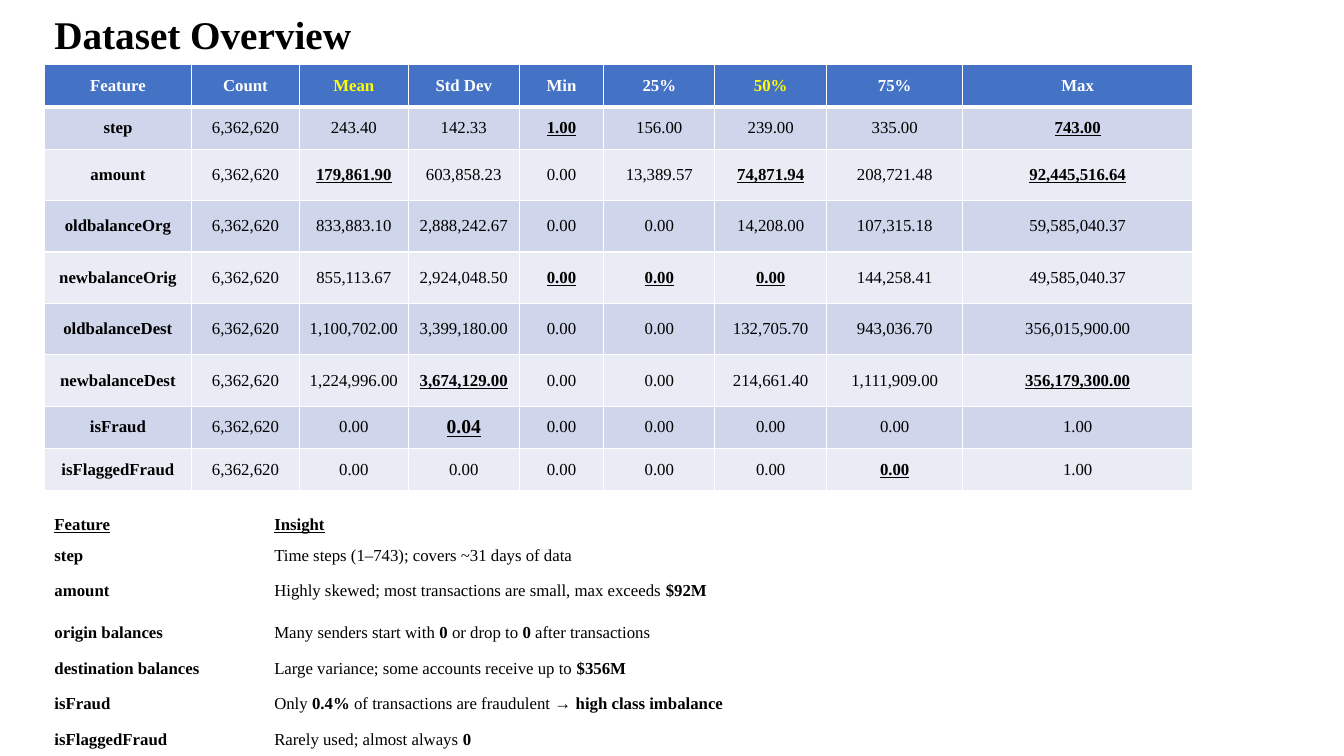
from lxml import etree
from pptx import Presentation
from pptx.dml.color import RGBColor
from pptx.enum.text import MSO_ANCHOR, PP_ALIGN
from pptx.oxml.ns import qn
from pptx.util import Inches, Pt

MIDDLE = MSO_ANCHOR.MIDDLE
LEFT, CENTER = PP_ALIGN.LEFT, PP_ALIGN.CENTER
PLAIN_STYLE = "{2D5ABB26-0587-4C30-8999-92F81FD0307C}"

THEME = {
    "font": "Times New Roman", "title": 28, "body": 12, "large": 14,
    "text": "000000", "header_text": "FFFFFF", "highlight": "FFFF00",
    "header": "4472C4", "bands": ("CFD5EA", "E9EBF5"), "border": "FFFFFF",
}
MARGIN = 0.44


def add_run(p, text, size=THEME["body"], color=THEME["text"], bold=False, underline=False):
    r = p.add_run()
    r.text = text
    r.font.name, r.font.size = THEME["font"], Pt(size)
    r.font.color.rgb = RGBColor.from_string(color)
    r.font.bold, r.font.underline = bold, underline


def add_grid(top, widths, heights):
    """Add an unstyled table with the given column widths and row heights."""
    table = s.shapes.add_table(
        len(heights), len(widths), Inches(MARGIN), Inches(top),
        Inches(sum(widths)), Inches(sum(heights))).table
    table.first_row = table.horz_banding = False
    table._tbl.tblPr.find(qn("a:tableStyleId")).text = PLAIN_STYLE
    for col, width in zip(table.columns, widths):
        col.width = Inches(width)
    for row, height in zip(table.rows, heights):
        row.height = Inches(height)
    return table


prs = Presentation()
prs.slide_width, prs.slide_height = Inches(13.33), Inches(7.5)
s = prs.slides.add_slide(prs.slide_layouts[6])

# Title
sp = s.shapes.add_textbox(Inches(MARGIN), 0, Inches(4.02), Inches(0.73))
tf = sp.text_frame
tf.word_wrap, tf.vertical_anchor = True, MIDDLE
p = tf.paragraphs[0]
p.line_spacing = 0.9
add_run(p, "Dataset Overview", THEME["title"], bold=True)

# Statistics: a leading * marks an emphasised value
COUNT = "6,362,620"
STATS = [
    ["Feature", "Count", "*Mean", "Std Dev", "Min", "25%", "*50%", "75%", "Max"],
    ["step", COUNT, "243.40", "142.33", "*1.00", "156.00", "239.00", "335.00", "*743.00"],
    ["amount", COUNT, "*179,861.90", "603,858.23", "0.00", "13,389.57", "*74,871.94",
     "208,721.48", "*92,445,516.64"],
    ["oldbalanceOrg", COUNT, "833,883.10", "2,888,242.67", "0.00", "0.00", "14,208.00",
     "107,315.18", "59,585,040.37"],
    ["newbalanceOrig", COUNT, "855,113.67", "2,924,048.50", "*0.00", "*0.00", "*0.00",
     "144,258.41", "49,585,040.37"],
    ["oldbalanceDest", COUNT, "1,100,702.00", "3,399,180.00", "0.00", "0.00", "132,705.70",
     "943,036.70", "356,015,900.00"],
    ["newbalanceDest", COUNT, "1,224,996.00", "*3,674,129.00", "0.00", "0.00", "214,661.40",
     "1,111,909.00", "*356,179,300.00"],
    ["isFraud", COUNT, "0.00", "*0.04", "0.00", "0.00", "0.00", "0.00", "1.00"],
    ["isFlaggedFraud", COUNT, "0.00", "0.00", "0.00", "0.00", "0.00", "*0.00", "1.00"],
]
LARGE_VALUE = "0.04"
stats = add_grid(0.64, [1.46, 1.07, 1.08, 1.1, 0.84, 1.1, 1.11, 1.35, 2.28],
                 [0.42] * 2 + [0.51] * 5 + [0.42] * 2)
for i, values in enumerate(STATS):
    header = i == 0
    for j, value in enumerate(values):
        marked, text = value.startswith("*"), value.lstrip("*")
        cell = stats.cell(i, j)
        cell.vertical_anchor = MIDDLE
        cell.margin_left = cell.margin_right = Inches(0.09)
        cell.margin_top = cell.margin_bottom = Inches(0.04)

        # Borders, thicker below the header
        tc_pr = cell._tc.get_or_add_tcPr()
        for side in "LRTB":
            thick = (i, side) in ((0, "B"), (1, "T"))
            ln = etree.SubElement(tc_pr, qn(f"a:ln{side}"), w=str(Pt(3 if thick else 1)))
            fill = etree.SubElement(ln, qn("a:solidFill"))
            etree.SubElement(fill, qn("a:srgbClr"), val=THEME["border"])
        cell.fill.solid()
        cell.fill.fore_color.rgb = RGBColor.from_string(
            THEME["header"] if header else THEME["bands"][(i - 1) % 2])

        p = cell.text_frame.paragraphs[0]
        p.alignment = CENTER
        if header:
            add_run(p, text, color=THEME["highlight" if marked else "header_text"], bold=True)
        else:
            add_run(p, text, THEME["large" if text == LARGE_VALUE else "body"],
                    bold=marked or j == 0, underline=marked)

# Insights: text between * marks is bold
INSIGHTS = [
    ("Feature", "*Insight*"),
    ("step", "Time steps (1–743); covers ~31 days of data"),
    ("amount", "Highly skewed; most transactions are small, max exceeds *$92M*"),
    ("origin balances", "Many senders start with *0* or drop to *0* after transactions"),
    ("destination balances", "Large variance; some accounts receive up to *$356M*"),
    ("isFraud", "Only *0.4%* of transactions are fraudulent → *high class imbalance*"),
    ("isFlaggedFraud", "Rarely used; almost always *0*"),
]
insights = add_grid(5.06, [2.18, 7.57], [0.29, 0.29, 0.41, 0.41, 0.29, 0.41, 0.29])
for i, (feature, insight) in enumerate(INSIGHTS):
    for j, text in enumerate((f"*{feature}*", insight)):
        cell = insights.cell(i, j)
        cell.vertical_anchor = MIDDLE
        p = cell.text_frame.paragraphs[0]
        p.alignment = LEFT
        for k, part in enumerate(text.split("*")):
            if part:
                add_run(p, part, bold=k % 2 == 1, underline=i == 0)

prs.save("out.pptx")
